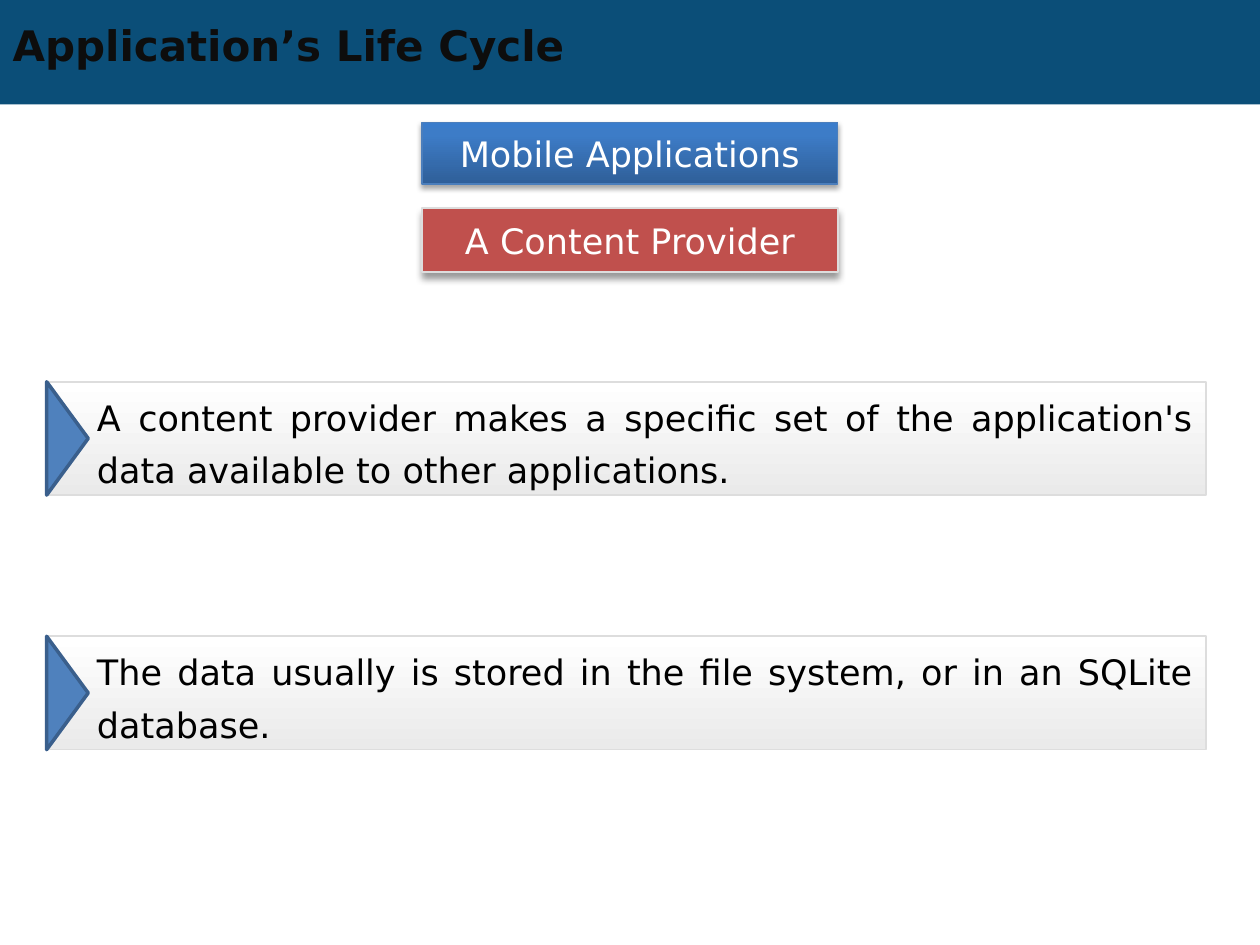
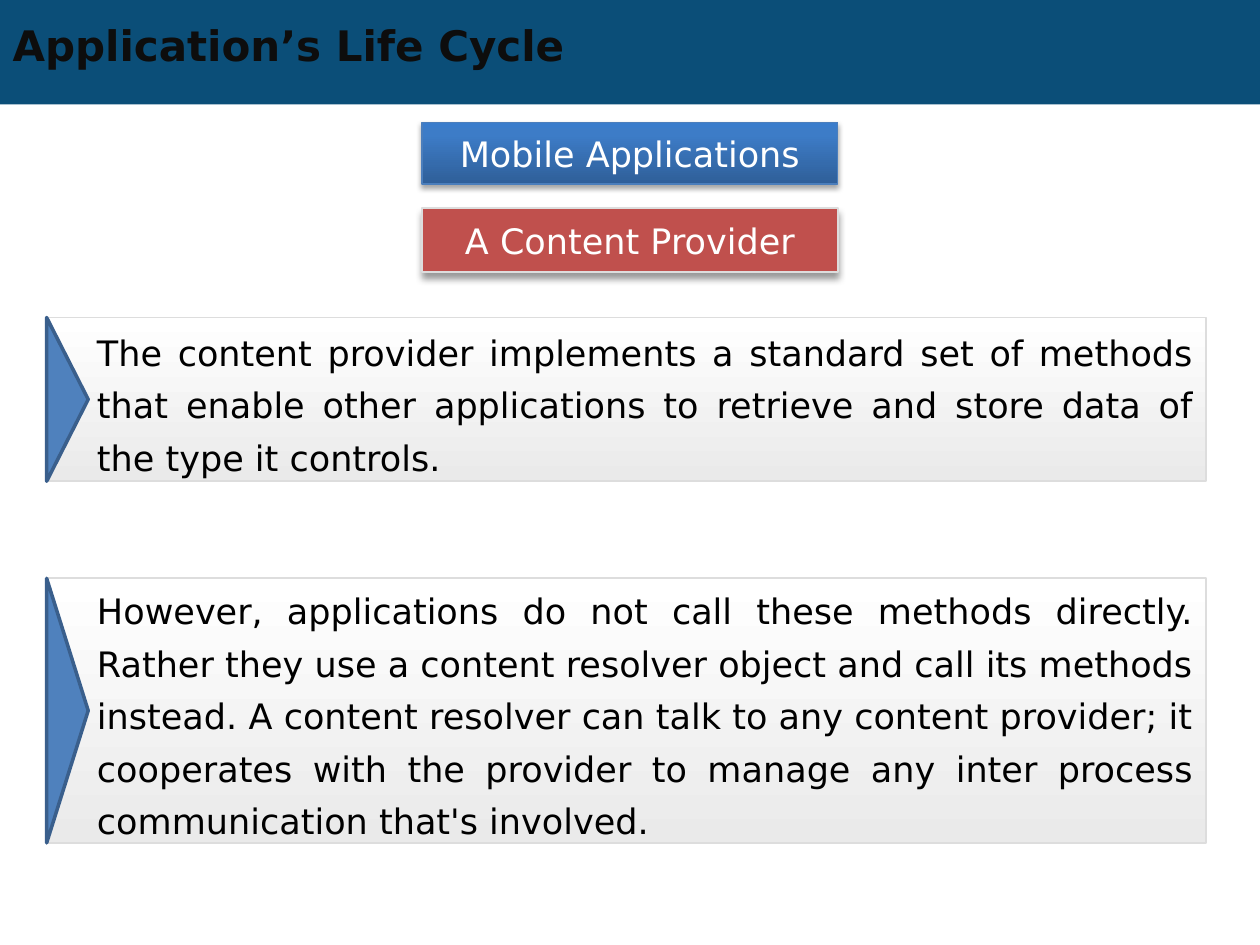
import dataclasses

import lxml.etree
import pptx
import pptx.dml.color
import pptx.enum.shapes
import pptx.enum.text
import pptx.oxml.ns
import pptx.util

Inches = pptx.util.Inches
Pt = pptx.util.Pt
Shape = pptx.enum.shapes.MSO_SHAPE
Align = pptx.enum.text.PP_ALIGN
Anchor = pptx.enum.text.MSO_ANCHOR
qn = pptx.oxml.ns.qn


@dataclasses.dataclass(frozen=True)
class Theme:
    font: str = "DejaVu Sans"
    title_size: int = 24
    body_size: int = 20
    line_pitch: int = 30
    band: str = "0B4E78"
    title: str = "0D0D0D"
    body: str = "000000"
    label_text: str = "FFFFFF"
    topic: str = "C0504D"
    pale_line: str = "DDDDDD"
    subject_line: str = "4B7EBC"
    marker: str = "4F81BD"
    marker_line: str = "3A5F8C"
    # Gradients: angle in degrees, then (position in percent, colour) stops
    subject: tuple = (270, ((0, "2F5F99"), (80, "3D7CC7"), (100, "3A7CCB")))
    callout: tuple = (90, ((0, "FFFFFF"), (100, "EAEAEA")))


THEME = Theme()
TITLE = "Application’s Life Cycle"
SUBJECT = "Mobile Applications"
TOPIC = "A Content Provider"
LABEL_LEFT, LABEL_WIDTH = 3.35, 3.3
CALLOUT_LEFT, CALLOUT_WIDTH = 0.37, 9.2
MARKER_DEPTH = 0.33

# Each slide is a list of callouts: top in inches, number of text lines, text
SLIDES = [
    [
        (3.03, 2, "A content provider makes a specific set of the application's "
                  "data available to other applications."),
        (5.05, 2, "The data usually is stored in the file system, or in an "
                  "SQLite database."),
    ],
    [
        (2.52, 3, "The content provider implements a standard set of methods "
                  "that enable other applications to retrieve and store data "
                  "of the type it controls."),
        (4.59, 5, "However, applications do not call these methods directly. "
                  "Rather they use a content resolver object and call its "
                  "methods instead. A content resolver can talk to any content "
                  "provider; it cooperates with the provider to manage any "
                  "inter process communication that's involved."),
    ],
]


def rgb(value):
    return pptx.dml.color.RGBColor.from_string(value)


def add_node(parent, tag, **attributes):
    node = lxml.etree.SubElement(parent, qn(tag))
    for name, value in attributes.items():
        node.set(name, str(value))
    return node


def fill_gradient(shape, angle, stops):
    properties = shape.element.spPr
    gradient = add_node(properties, "a:gradFill", rotWithShape=1)
    stop_list = add_node(gradient, "a:gsLst")
    for position, color in stops:
        stop = add_node(stop_list, "a:gs", pos=position * 1000)
        add_node(stop, "a:srgbClr", val=color)
    add_node(gradient, "a:lin", ang=angle * 60000, scaled=0)
    properties.find(qn("a:prstGeom")).addnext(gradient)


def add_shadow(shape, opacity, blur, distance):
    """Cast a black shadow straight down; blur and distance are in points."""
    effects = shape.element.spPr.find(qn("a:effectLst"))
    shadow = add_node(effects, "a:outerShdw", blurRad=Pt(blur), dist=Pt(distance),
                      dir=90 * 60000, rotWithShape=0)
    color = add_node(shadow, "a:srgbClr", val="000000")
    add_node(color, "a:alpha", val=opacity * 1000)


def add_box(shapes, kind, place, fill, line=None, line_width=1):
    """Add a flat shape; fill is a colour or an (angle, stops) gradient."""
    box = shapes.add_shape(kind, *map(Inches, place))
    box.shadow.inherit = False
    if isinstance(fill, str):
        box.fill.solid()
        box.fill.fore_color.rgb = rgb(fill)
    else:
        fill_gradient(box, *fill)
    if line:
        box.line.color.rgb = rgb(line)
        box.line.width = Pt(line_width)
    else:
        box.line.fill.background()
    return box


def write(box, text, color, size, align, bold=False):
    frame = box.text_frame
    frame.word_wrap = True
    frame.auto_size = pptx.enum.text.MSO_AUTO_SIZE.NONE
    frame.vertical_anchor = Anchor.MIDDLE
    para = frame.paragraphs[0]
    para.alignment = align
    span = para.add_run()
    span.text = text
    span.font.name = THEME.font
    span.font.size = Pt(size)
    span.font.bold = bold
    span.font.color.rgb = rgb(color)
    return para


def set_margins(box, left=0, right=0):
    frame = box.text_frame
    frame.margin_left, frame.margin_right = Inches(left), Inches(right)
    frame.margin_top = frame.margin_bottom = 0


def add_band(slide):
    """Draw the title band and move it to the layout that all slides share."""
    band = add_box(slide.shapes, Shape.RECTANGLE, (0, 0, 10, 0.83), THEME.band)
    band.element.nvSpPr.cNvPr.set("id", "100")
    slide.slide_layout.shapes.element.insert(2, band.element)


def set_title(slide):
    title = slide.shapes.title
    title.left, title.top, title.width, title.height = map(Inches, (0, 0.14, 9, 0.43))
    write(title, TITLE, THEME.title, THEME.title_size, Align.LEFT, bold=True)


def add_label(slide, text, top, height, fill, line, line_width, shadow):
    label = add_box(slide.shapes, Shape.RECTANGLE,
                    (LABEL_LEFT, top, LABEL_WIDTH, height), fill, line, line_width)
    add_shadow(label, *shadow)
    set_margins(label)
    write(label, text, THEME.label_text, THEME.body_size, Align.CENTER)


def add_callout(slide, top, line_count, text):
    """Group a text panel with the triangle that marks its left edge."""
    height = 0.4 * line_count + 0.1
    group = slide.shapes.add_group_shape()
    panel = add_box(group.shapes, Shape.RECTANGLE,
                    (CALLOUT_LEFT, top, CALLOUT_WIDTH, height),
                    THEME.callout, THEME.pale_line)
    set_margins(panel, left=0.4, right=0.1)
    para = write(panel, text, THEME.body, THEME.body_size, Align.JUSTIFY)
    para.line_spacing = Pt(THEME.line_pitch)

    # The triangle is turned about its centre, so its width runs down the panel
    marker_left = CALLOUT_LEFT + (MARKER_DEPTH - height) / 2
    marker_top = top + (height - MARKER_DEPTH) / 2
    marker = add_box(group.shapes, Shape.ISOSCELES_TRIANGLE,
                     (marker_left, marker_top, height, MARKER_DEPTH),
                     THEME.marker, THEME.marker_line, 2)
    marker.rotation = 90


def main():
    deck = pptx.Presentation()
    deck.slide_width, deck.slide_height = Inches(10), Inches(7.5)
    title_only = deck.slide_layouts.get_by_name("Title Only")
    for number, callouts in enumerate(SLIDES):
        slide = deck.slides.add_slide(title_only)
        if number == 0:
            add_band(slide)
        set_title(slide)
        add_label(slide, TOPIC, 1.65, 0.51, THEME.topic, THEME.pale_line, 1,
                  shadow=(40, 4, 3))
        for callout in callouts:
            add_callout(slide, *callout)
        add_label(slide, SUBJECT, 0.97, 0.49, THEME.subject, THEME.subject_line, 0.75,
                  shadow=(35, 3.1, 1.8))
    deck.save("out.pptx")


if __name__ == "__main__":
    main()
